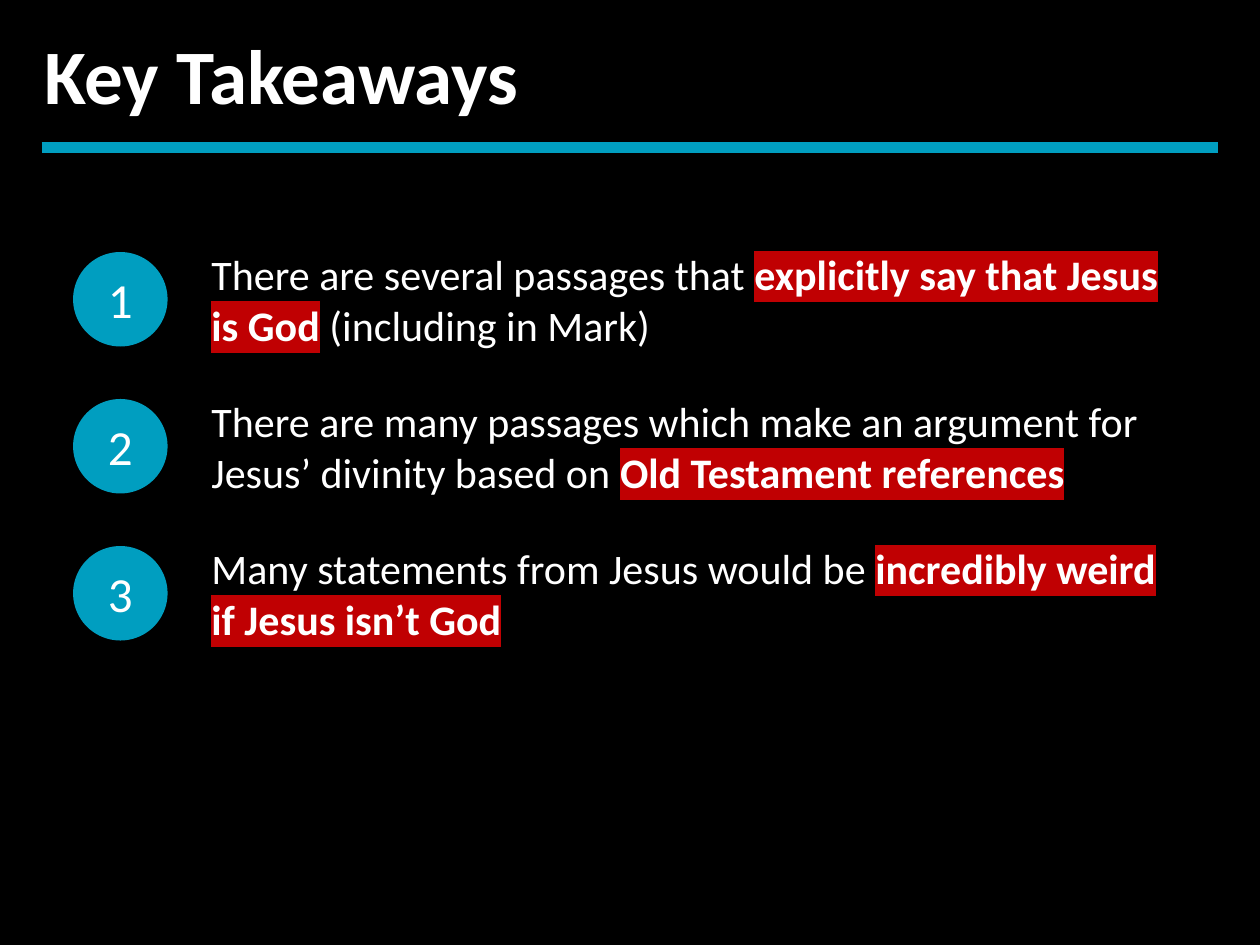
from dataclasses import dataclass

from lxml.etree import SubElement
from pptx import Presentation
from pptx.dml.color import RGBColor
from pptx.enum.shapes import MSO_CONNECTOR, MSO_SHAPE
from pptx.enum.text import MSO_ANCHOR, PP_ALIGN
from pptx.oxml.ns import qn
from pptx.slide import Slide
from pptx.util import Inches, Pt

COLORS = {
    "background": "000000",
    "text": "FFFFFF",
    "accent": "009EC0",
    "highlight": "C00002",
}
FIRST_TOP = 2.0
ROW_PITCH = 3.5 / 3
BADGE_SIZE = 0.75


@dataclass(frozen=True)
class Takeaway:
    lead: str
    emphasis: str
    tail: str = ""


TAKEAWAYS = [
    Takeaway("There are several passages that ",
             "explicitly say that Jesus is God", " (including in Mark)"),
    Takeaway("There are many passages which make an argument for Jesus’ divinity based on ",
             "Old Testament references"),
    Takeaway("Many statements from Jesus would be ",
             "incredibly weird if Jesus isn’t God"),
]


def color(role: str) -> RGBColor:
    return RGBColor.from_string(COLORS[role])


def set_font(paragraph, size: int, bold: bool = False) -> None:
    font = paragraph.font
    font.name = "Calibri"
    font.size = Pt(size)
    font.bold = bold
    font.color.rgb = color("text")


def add_emphasis(paragraph, text: str) -> None:
    run = paragraph.add_run()
    run.text = text
    run.font.bold = True
    highlight = SubElement(run.font._element, qn("a:highlight"))
    SubElement(highlight, qn("a:srgbClr"), val=COLORS["highlight"])


def add_heading(slide: Slide, text: str) -> None:
    heading = slide.shapes.title
    heading.left, heading.top = Inches(0.25), Inches(0.17)
    heading.width, heading.height = Inches(9.42), Inches(0.84)
    heading.text_frame.text = text
    heading.text_frame.vertical_anchor = MSO_ANCHOR.TOP
    paragraph = heading.text_frame.paragraphs[0]
    paragraph.alignment = PP_ALIGN.LEFT
    set_font(paragraph, 44, bold=True)


def add_rule(slide: Slide) -> None:
    rule = slide.shapes.add_connector(
        MSO_CONNECTOR.STRAIGHT, Inches(0.33), Inches(1.17), Inches(9.67), Inches(1.17))
    rule.line.color.rgb = color("accent")
    rule.line.width = Pt(6)
    SubElement(rule._element.spPr, qn("a:effectLst"))


def add_takeaway(slide: Slide, number: int, takeaway: Takeaway) -> None:
    row = slide.shapes.add_group_shape()
    top = Inches(FIRST_TOP + (number - 1) * ROW_PITCH)

    badge = row.shapes.add_shape(
        MSO_SHAPE.OVAL, Inches(0.58), top, Inches(BADGE_SIZE), Inches(BADGE_SIZE))
    badge.shadow.inherit = False
    badge.fill.solid()
    badge.fill.fore_color.rgb = color("accent")
    badge.line.fill.background()
    badge.text_frame.text = str(number)
    badge.text_frame.vertical_anchor = MSO_ANCHOR.MIDDLE
    numeral = badge.text_frame.paragraphs[0]
    numeral.alignment = PP_ALIGN.CENTER
    set_font(numeral, 28)

    statement = row.shapes.add_textbox(
        Inches(1.58), top, Inches(7.75), Inches(BADGE_SIZE)).text_frame
    statement.word_wrap = True
    statement.vertical_anchor = MSO_ANCHOR.MIDDLE
    sentence = statement.paragraphs[0]
    set_font(sentence, 24)
    sentence.add_run().text = takeaway.lead
    add_emphasis(sentence, takeaway.emphasis)
    if takeaway.tail:
        sentence.add_run().text = takeaway.tail


presentation = Presentation()
presentation.slide_width = Inches(10)
presentation.slide_height = Inches(7.5)
slide = presentation.slides.add_slide(presentation.slide_layouts[5])
slide.background.fill.solid()
slide.background.fill.fore_color.rgb = color("background")

add_heading(slide, "Key Takeaways")
for number, takeaway in enumerate(TAKEAWAYS, start=1):
    add_takeaway(slide, number, takeaway)
add_rule(slide)

presentation.save("out.pptx")
